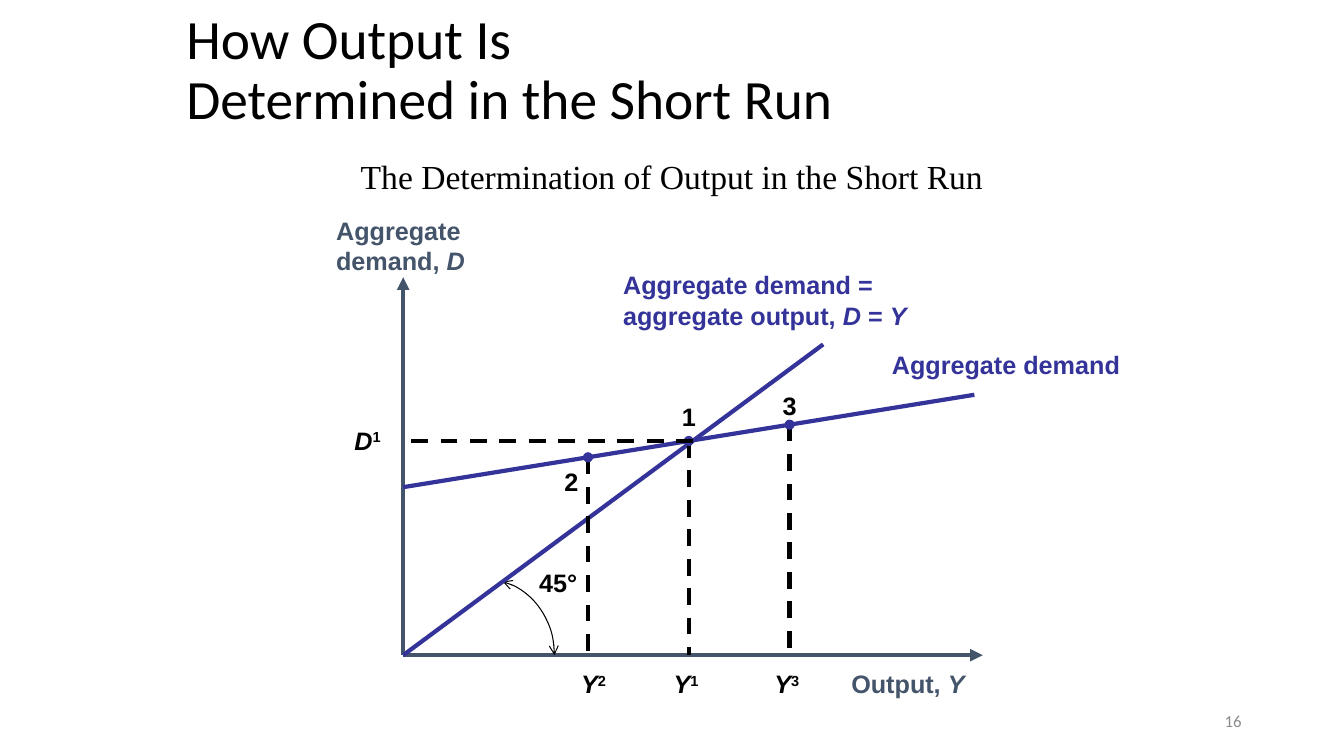
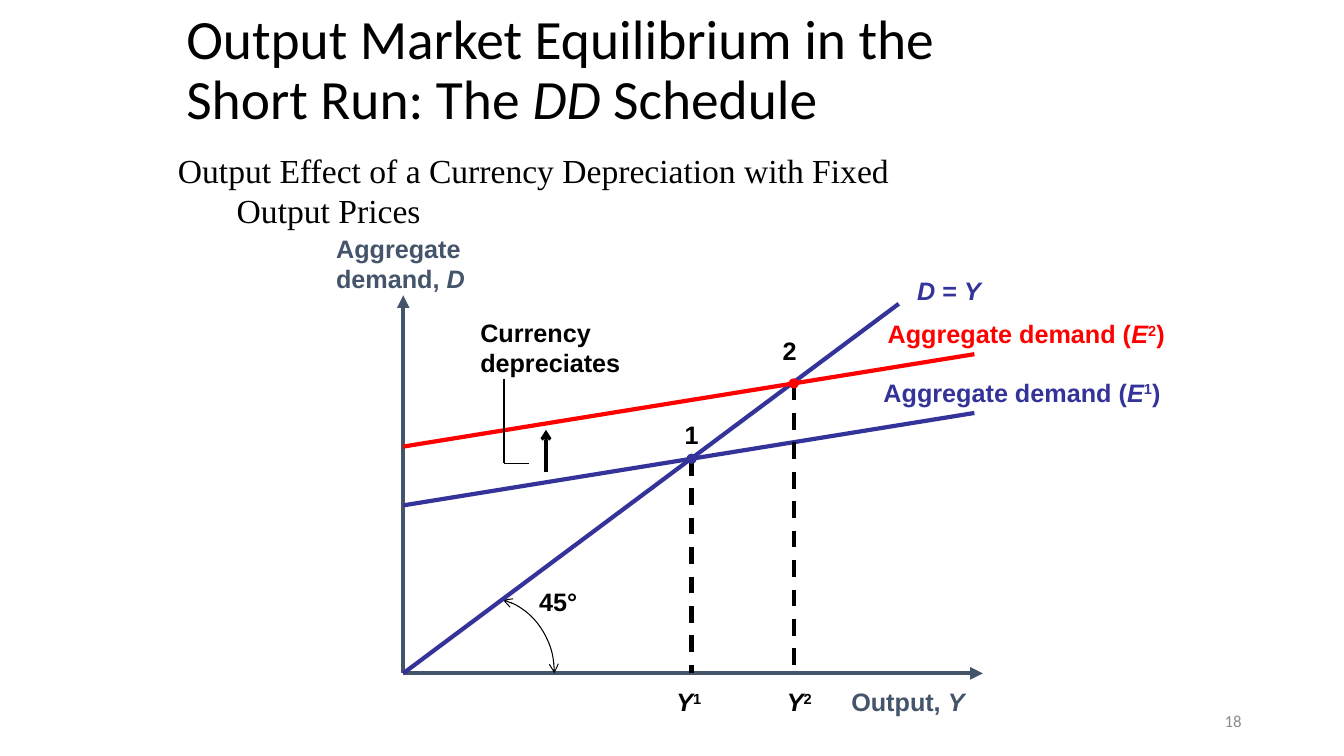
from collections import namedtuple

from lxml.etree import SubElement
from pptx import Presentation
from pptx.dml.color import RGBColor
from pptx.enum.dml import MSO_LINE
from pptx.enum.shapes import MSO_CONNECTOR, MSO_SHAPE
from pptx.enum.text import MSO_ANCHOR, PP_ALIGN
from pptx.oxml.ns import qn
from pptx.util import Pt

BLACK, SLATE, INDIGO, RED, GREY = "000000", "44546A", "333399", "FF0000", "8C8C8C"
TITLE = {"name": "Calibri", "size": Pt(39.6)}
SUBTITLE = {"name": "Times New Roman", "size": Pt(24)}
NUMBER = {"name": "Calibri", "size": Pt(12)}
LABEL = {"name": "Arial", "size": Pt(18), "bold": True}

Box = namedtuple("Box", "left top width height")
Curve = namedtuple("Curve", "intercept end_x end_y color")
Mark = namedtuple("Mark", "x name name_dx name_dy tick tick_dx")


def rgb(code):
    """Turn a hex string into a colour."""
    return RGBColor.from_string(code)


def apply(target, values):
    """Set every attribute in a dict of format values."""
    for name, value in values.items():
        setattr(target, name, value)


def add_spans(para, text, font, color):
    """Fill a paragraph; | splits runs, _ marks italic, ^ superscript, a lone / a line break."""
    for part in text.split("|"):
        if part == "/":
            para.add_line_break()
            continue
        span = para.add_run()
        span.text = part.lstrip("_^")
        apply(span.font, font)
        span.font.color.rgb = rgb(color)
        if part.startswith("_"):
            span.font.italic = True
        if part.startswith("^"):
            span._r.get_or_add_rPr().set("baseline", "30000")


def add_text(page, box, text, font, color=BLACK, anchor=MSO_ANCHOR.TOP, **layout):
    """Place a wrapped text box with one paragraph for each line."""
    frame = page.shapes.add_textbox(*map(Pt, box)).text_frame
    apply(frame, {"word_wrap": True, "vertical_anchor": anchor})
    for index, line in enumerate(text.split("\n")):
        para = frame.add_paragraph() if index else frame.paragraphs[0]
        apply(para, layout)
        add_spans(para, line, font, color)
    return frame


def add_ends(shape, **ends):
    """Put arrowheads on the ends of a line."""
    outline = shape.line._get_or_add_ln()
    for name, kind in ends.items():
        SubElement(outline, qn(f"a:{name}")).set("type", kind)


def add_frame(page, title, subtitle, subtitle_box, number, align, hanging=0):
    """Place the title, subtitle and page number."""
    add_text(page, Box(126, 6, 612, 90), title, TITLE,
             anchor=MSO_ANCHOR.MIDDLE, line_spacing=0.9)
    frame = add_text(page, subtitle_box, subtitle, SUBTITLE,
                     anchor=MSO_ANCHOR.BOTTOM, alignment=align)
    if hanging:
        properties = frame.paragraphs[0]._p.get_or_add_pPr()
        properties.set("marL", str(Pt(hanging)))
        properties.set("indent", str(-Pt(hanging)))
    add_text(page, Box(678, 500, 216, 29), number, NUMBER, GREY,
             anchor=MSO_ANCHOR.MIDDLE, alignment=PP_ALIGN.RIGHT)


class Plot:
    """A diagram whose parts are measured from the lower left corner of its box."""

    def __init__(self, page, box):
        """Keep the page and box, then draw the axes and the angle."""
        self.page, self.box = page, box
        self.add_axes()
        self.add_angle()

    def at(self, x, y):
        """Turn diagram coordinates, y upwards, into page points."""
        return self.box.left + x, self.box.top + self.box.height - y

    def label(self, x, y, text, width, color=BLACK):
        """Write a label with its upper left corner at x, y."""
        height = 7 + 21 * len(text.split("\n"))
        add_text(self.page, Box(*self.at(x, y), width, height), text, LABEL, color)

    def line(self, start, end, color=BLACK, width=3, dash=False, arrow=None):
        """Draw a straight line, dashed or with an arrowhead at its end."""
        points = map(Pt, self.at(*start) + self.at(*end))
        connector = self.page.shapes.add_connector(MSO_CONNECTOR.STRAIGHT, *points)
        connector.line.color.rgb = rgb(color)
        connector.line.width = Pt(width)
        if dash:
            connector.line.dash_style = MSO_LINE.DASH
        if arrow:
            add_ends(connector, tailEnd=arrow)
        SubElement(connector._element.spPr, qn("a:effectLst"))

    def add_axes(self):
        """Draw both axes with their names."""
        for end in ((0, self.box.height), (self.box.width, 0)):
            self.line((0, 0), end, SLATE, arrow="triangle")
        self.label(-55, 318, "Aggregate\ndemand, |_D", 115, SLATE)
        self.label(313, -6, "Output, |_Y", 110, SLATE)

    def add_angle(self):
        """Draw the arc of the angle and its size."""
        box = Box(*self.at(12, 54), 96, 108)
        arc = self.page.shapes.add_shape(MSO_SHAPE.ARC, *map(Pt, box))
        arc.shadow.inherit = False
        arc.adjustments[0], arc.adjustments[1] = 169.2, 0
        arc.fill.background()
        arc.line.color.rgb = rgb(BLACK)
        arc.line.width = Pt(0.75)
        add_ends(arc, headEnd="arrow", tailEnd="arrow")
        self.label(90, 66, "45°", 50)

    def curve(self, curve):
        """Draw a curve from the vertical axis to its end."""
        self.line((0, curve.intercept), (curve.end_x, curve.end_y), curve.color)

    def mark(self, curve, mark):
        """Mark a point of a curve, drop it to the axis and return its height."""
        slope = (curve.end_y - curve.intercept) / curve.end_x
        height = round(curve.intercept + slope * mark.x, 2)
        self.line((mark.x, height), (mark.x, 0), dash=True)
        box = Box(*self.at(mark.x - 3.25, height + 3.25), 6.5, 6.5)
        dot = self.page.shapes.add_shape(MSO_SHAPE.OVAL, *map(Pt, box))
        dot.shadow.inherit = False
        dot.fill.solid()
        dot.fill.fore_color.rgb = dot.line.color.rgb = rgb(curve.color)
        dot.line.width = Pt(0.75)
        self.label(mark.x + mark.name_dx, height + mark.name_dy, mark.name, 28)
        self.label(mark.x + mark.tick_dx, -6, mark.tick, 40)
        return height


DEMAND = Curve(120, 408, 186, INDIGO)
RAISED = Curve(162, 408, 228, RED)


def build_output_slide(page):
    """Show how output is determined in the short run."""
    add_frame(page, "How Output Is|/|Determined in the Short Run",
              "The Determination of Output in the Short Run",
              Box(120, 102, 720, 42), "16", PP_ALIGN.CENTER)
    plot = Plot(page, Box(288, 198, 414, 270))
    plot.label(150, 279, "Aggregate demand =\naggregate output, |_D| = |_Y", 225, INDIGO)
    plot.curve(Curve(0, 300, 222, INDIGO))
    plot.curve(DEMAND)
    plot.label(342, 222, "Aggregate demand", 185, INDIGO)
    marks = (Mark(132, "2", -24, -3, "_Y|^2", -12),
             Mark(204, "1", -12, 32, "_Y|^1", -18),
             Mark(276, "3", -12, 28, "_Y|^3", -18))
    heights = [plot.mark(DEMAND, mark) for mark in marks]
    plot.line((207, heights[1]), (0, heights[1]), dash=True)
    plot.label(-42, 168, "_D|^1", 40)


def build_schedule_slide(page):
    """Show the effect of a currency depreciation on output."""
    add_frame(page, "Output Market Equilibrium in the Short Run: The |_DD| Schedule",
              "Output Effect of a Currency Depreciation with Fixed|/|Output Prices",
              Box(120, 96, 720, 72), "18", PP_ALIGN.LEFT, hanging=42)
    plot = Plot(page, Box(288, 211, 414, 270))
    plot.label(360, 288, "_D| = |_Y", 70, INDIGO)
    plot.curve(Curve(0, 354, 264, INDIGO))
    for curve, x, y, power in ((RAISED, 339, 257, "2"), (DEMAND, 336, 215, "1")):
        plot.curve(curve)
        plot.label(x, y, f"Aggregate demand (|_E|^{power}|)", 220, curve.color)
    plot.mark(DEMAND, Mark(206, "1", -12, 32, "_Y|^1", -18))
    plot.mark(RAISED, Mark(279, "2", -15, 38, "_Y|^2", -12))
    plot.label(48, 258, "Currency\ndepreciates", 125)
    for start, end in (((72, 210), (72, 150)), ((72, 150), (90, 150))):
        plot.line(start, end, width=0.75)
    plot.line((102, 144), (102, 174), width=2.25, arrow="arrow")


def main():
    """Build the deck and save it."""
    deck = Presentation()
    apply(deck, {"slide_width": Pt(960), "slide_height": Pt(540)})
    for build in (build_output_slide, build_schedule_slide):
        build(deck.slides.add_slide(deck.slide_layouts[6]))
    deck.save("out.pptx")


if __name__ == "__main__":
    main()
